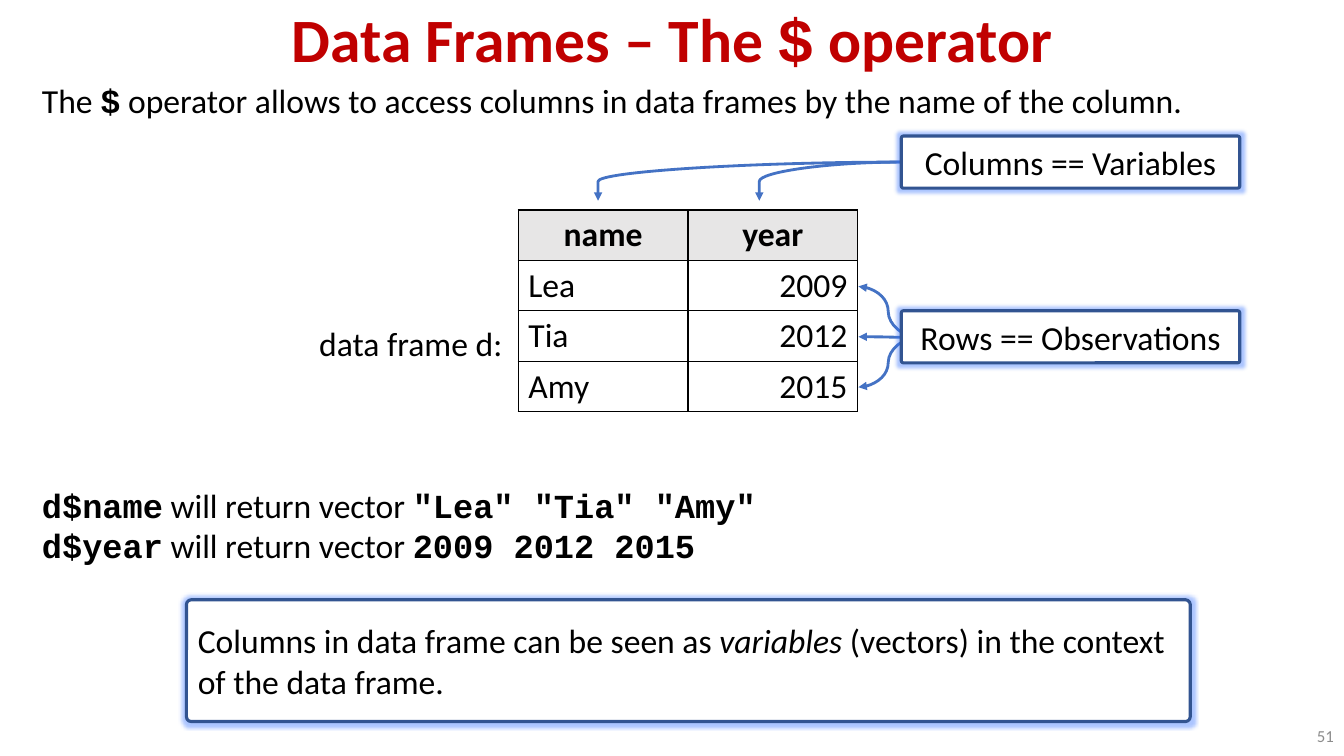
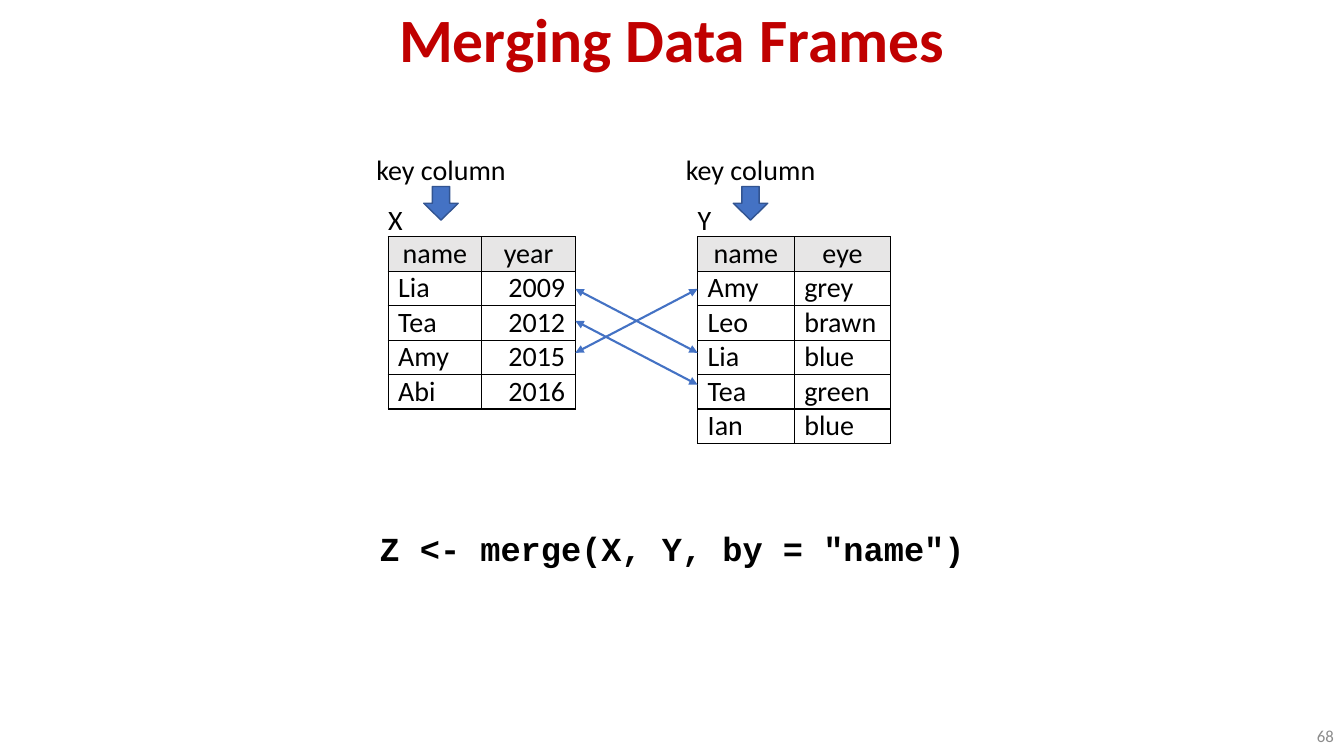
from dataclasses import dataclass
from typing import NamedTuple

from lxml import etree
from pptx import Presentation
from pptx.dml.color import RGBColor
from pptx.enum.shapes import MSO_CONNECTOR, MSO_SHAPE
from pptx.enum.text import MSO_ANCHOR, MSO_AUTO_SIZE, PP_ALIGN
from pptx.oxml.ns import qn
from pptx.util import Emu, Inches, Pt

# The slide is a grid of 160 columns by 90 rows; a cell is square.
WIDE, HIGH = Inches(13.33), Inches(7.5)
COLS, ROWS = 160, 90
SANS, MONO = "Calibri", "Courier New"
INK = {
    "title": "C00000", "text": "000000", "page": "8C8C8C", "paper": "FFFFFF",
    "head": "E7E6E6", "blue": "4472C4", "edge": "325491", "glow": "2F6EFF",
}
LEFT, MID, RIGHT = PP_ALIGN.LEFT, PP_ALIGN.CENTER, PP_ALIGN.RIGHT
TOP, CENTRE, BASE = MSO_ANCHOR.TOP, MSO_ANCHOR.MIDDLE, MSO_ANCHOR.BOTTOM
ROUND, DOWN = MSO_SHAPE.ROUNDED_RECTANGLE, MSO_SHAPE.DOWN_ARROW
LINE, CURVE = MSO_CONNECTOR.STRAIGHT, MSO_CONNECTOR.CURVE
FIXED = MSO_AUTO_SIZE.NONE


class Area(NamedTuple):
    x: float
    y: float
    w: float
    h: float


class Span(NamedTuple):
    text: str
    face: str = SANS
    bold: bool = False
    slant: bool = False


@dataclass
class Style:
    size: float = 24
    ink: str = "text"
    align: PP_ALIGN = LEFT
    space: float = 1.0


@dataclass
class Grid:
    x: float
    y: float
    col: float
    row: float
    data: list[list[str]]
    size: int
    bold: bool
    pad: float

    @property
    def right(self) -> float:
        return self.x + self.col * len(self.data[0])


Lines = list[list[Span]]


def across(cols: float) -> Emu:
    return Emu(round(WIDE * cols / COLS))


def down(rows: float) -> Emu:
    return Emu(round(HIGH * rows / ROWS))


def place(area: Area) -> tuple[Emu, Emu, Emu, Emu]:
    return across(area.x), down(area.y), across(area.w), down(area.h)


def tint(name: str) -> RGBColor:
    return RGBColor.from_string(INK[name])


def code(text: str) -> Span:
    return Span(text, MONO, True)


def write(frame, lines: Lines, style: Style) -> None:
    """Fill a text frame; only spans that differ get fonts of their own."""
    for i, spans in enumerate(lines):
        para = frame.add_paragraph() if i else frame.paragraphs[0]
        para.alignment = style.align
        para.line_spacing = style.space
        first = spans[0]
        para.font.size = Pt(style.size)
        para.font.color.rgb = tint(style.ink)
        para.font.name = first.face
        para.font.bold, para.font.italic = first.bold, first.slant
        for span in spans:
            run = para.add_run()
            run.text = span.text
            if span[1:] != first[1:]:
                run.font.name = span.face
                run.font.bold, run.font.italic = span.bold, span.slant


def label(slide, area: Area, lines: Lines, style: Style,
          anchor: MSO_ANCHOR = TOP, pad: float = 1.2) -> None:
    frame = slide.shapes.add_textbox(*place(area)).text_frame
    frame.word_wrap = True
    frame.vertical_anchor = anchor
    frame.margin_left = frame.margin_right = across(pad)
    frame.margin_top = frame.margin_bottom = down(pad / 2)
    write(frame, lines, style)


def start(deck, title: list[Span], page: int):
    """Add a slide with its title and page number."""
    slide = deck.slides.add_slide(deck.slide_layouts[5])
    head = slide.shapes.title
    head.left, head.top, head.width, head.height = place(Area(0, 0, COLS, 9.6))
    frame = head.text_frame
    frame.auto_size = FIXED
    frame.vertical_anchor = BASE
    write(frame, [title], Style(44, "title", MID, 0.9))
    label(slide, Area(146.5, 85.2, 13.5, 4.8), [[Span(str(page))]],
          Style(12, "page", RIGHT), CENTRE)
    return slide


def shape(slide, kind: MSO_SHAPE, area: Area, fill: str, width: float):
    item = slide.shapes.add_shape(kind, *place(area))
    item.shadow.inherit = False
    item.fill.solid()
    item.fill.fore_color.rgb = tint(fill)
    item.line.color.rgb = tint("edge")
    item.line.width = Pt(width)
    return item


def callout(slide, area: Area, lines: Lines, align: PP_ALIGN = MID) -> None:
    """Draw a rounded, glowing box with text."""
    item = shape(slide, ROUND, area, "paper", 2.25)
    item.adjustments[0] = 0.04
    effects = item.element.spPr.find(qn("a:effectLst"))
    glow = etree.SubElement(effects, qn("a:glow"), rad=str(Pt(5)))
    hue = etree.SubElement(glow, qn("a:srgbClr"), val=INK["glow"])
    etree.SubElement(hue, qn("a:alpha"), val="40000")
    frame = item.text_frame
    frame.word_wrap = True
    frame.vertical_anchor = CENTRE
    write(frame, lines, Style(align=align))


def arrow(slide, kind: MSO_CONNECTOR, a: tuple[float, float],
          b: tuple[float, float], width: float, ends: tuple[str, ...],
          bend: float = 0.5) -> None:
    link = slide.shapes.add_connector(
        kind, across(a[0]), down(a[1]), across(b[0]), down(b[1]))
    link.line.color.rgb = tint("blue")
    link.line.width = Pt(width)
    props = link.element.spPr
    for end in ends:
        etree.SubElement(props.find(qn("a:ln")), qn(f"a:{end}"), type="triangle")
    etree.SubElement(props, qn("a:effectLst"))
    if kind == CURVE:
        geom = props.find(qn("a:prstGeom"))
        guides = geom.find(qn("a:avLst"))
        if guides is None:
            guides = etree.SubElement(geom, qn("a:avLst"))
        etree.SubElement(guides, qn("a:gd"), name="adj1",
                         fmla=f"val {round(bend * 100000)}")


def border(cell) -> None:
    props = cell._tc.get_or_add_tcPr()
    for side in ("lnL", "lnR", "lnT", "lnB"):
        line = etree.SubElement(props, qn(f"a:{side}"), w=str(Pt(1)))
        fill = etree.SubElement(line, qn("a:solidFill"))
        etree.SubElement(fill, qn("a:srgbClr"), val=INK["text"])


def table(slide, grid: Grid) -> None:
    rows, cols = len(grid.data), len(grid.data[0])
    area = Area(grid.x, grid.y, grid.col * cols, grid.row * rows)
    item = slide.shapes.add_table(rows, cols, *place(area)).table
    item.horz_banding = False
    for r, record in enumerate(grid.data):
        for c, text in enumerate(record):
            cell = item.cell(r, c)
            border(cell)
            cell.fill.solid()
            cell.fill.fore_color.rgb = tint("paper" if r else "head")
            cell.margin_top = cell.margin_bottom = down(grid.pad)
            align = MID if r == 0 else RIGHT if text.isdigit() else LEFT
            span = Span(text, bold=grid.bold and r == 0)
            write(cell.text_frame, [[span]], Style(grid.size, align=align))


def access(deck) -> None:
    slide = start(deck, [Span("Data Frames – The ", bold=True), code("$"),
                         Span(" operator", bold=True)], 51)
    label(slide, Area(3.8, 8.9, 151, 6), [[
        Span("The "), code("$"),
        Span(" operator allows to access columns in data frames"
             " by the name of the column."),
    ]], Style())
    label(slide, Area(36.8, 37.9, 24.9, 6), [[Span("data frame d:")]], Style())
    label(slide, Area(3.8, 57.1, 151, 11), [
        [code(f"d${name}"), Span(" will return vector "), code(values)]
        for name, values in (("name", '"Lea" "Tia" "Amy"'),
                             ("year", "2009 2012 2015"))
    ], Style())
    grid = Grid(61.7, 25, 20.2, 6, [
        ["name", "year"], ["Lea", "2009"], ["Tia", "2012"], ["Amy", "2015"],
    ], 24, True, 0.6)
    table(slide, grid)
    callout(slide, Area(22.2, 71.4, 119.5, 14.5), [
        [Span("Columns in data frame can be seen as "),
         Span("variables", slant=True), Span(" (vectors) in the context")],
        [Span("of the data frame.")],
    ], LEFT)
    tip = ("tailEnd",)
    side = Area(107.3, 16.2, 40.3, 6.2)
    for x in (90.4, 71.2):
        arrow(slide, CURVE, (side.x, 19.3), (x, 23.9), 2, tip, 1)
    for row in (1, 2, 3):
        spot = (grid.right + 0.1, grid.y + grid.row * (row + 0.5) + 0.1)
        arrow(slide, CURVE, (side.x + 2, 40.15), spot, 2, tip)
    callout(slide, side, [[Span("Columns == Variables")]])
    callout(slide, side._replace(y=37), [[Span("Rows == Observations")]])


def merge(deck) -> None:
    slide = start(deck, [Span("Merging Data Frames", bold=True)], 68)
    top, row = 28.2, 4.1
    left = Grid(46.2, top, 11.15, row, [
        ["name", "year"], ["Lia", "2009"], ["Tea", "2012"],
        ["Amy", "2015"], ["Abi", "2016"],
    ], 20, False, 0)
    right = Grid(83.05, top, 11.5, row, [
        ["name", "eye"], ["Amy", "grey"], ["Leo", "brawn"],
        ["Lia", "blue"], ["Tea", "green"], ["Ian", "blue"],
    ], 20, False, 0)
    small = Style(20)
    for name, grid in (("X", left), ("Y", right)):
        table(slide, grid)
        label(slide, Area(grid.x, top - row, 3, row), [[Span(name)]],
              small, pad=0)
        label(slide, Area(grid.x - 1.4, 18.1, 17, row),
              [[Span("key column")]], small, pad=0)
        shape(slide, DOWN, Area(grid.x + 4.25, 22.2, 4.1, 4), "blue", 1)
    first, step = 34.4, 3.8
    for a, b in ((0, 2), (1, 3), (2, 0)):
        arrow(slide, LINE, (left.right, first + step * a),
              (right.x, first + step * b), 1.5, ("headEnd", "tailEnd"))
    label(slide, Area(0, 61.7, COLS, 7.2),
          [[code('Z <- merge(X, Y, by = "name")')]], Style(align=MID), CENTRE)


def main() -> None:
    deck = Presentation()
    deck.slide_width, deck.slide_height = WIDE, HIGH
    access(deck)
    merge(deck)
    deck.save("out.pptx")


if __name__ == "__main__":
    main()
